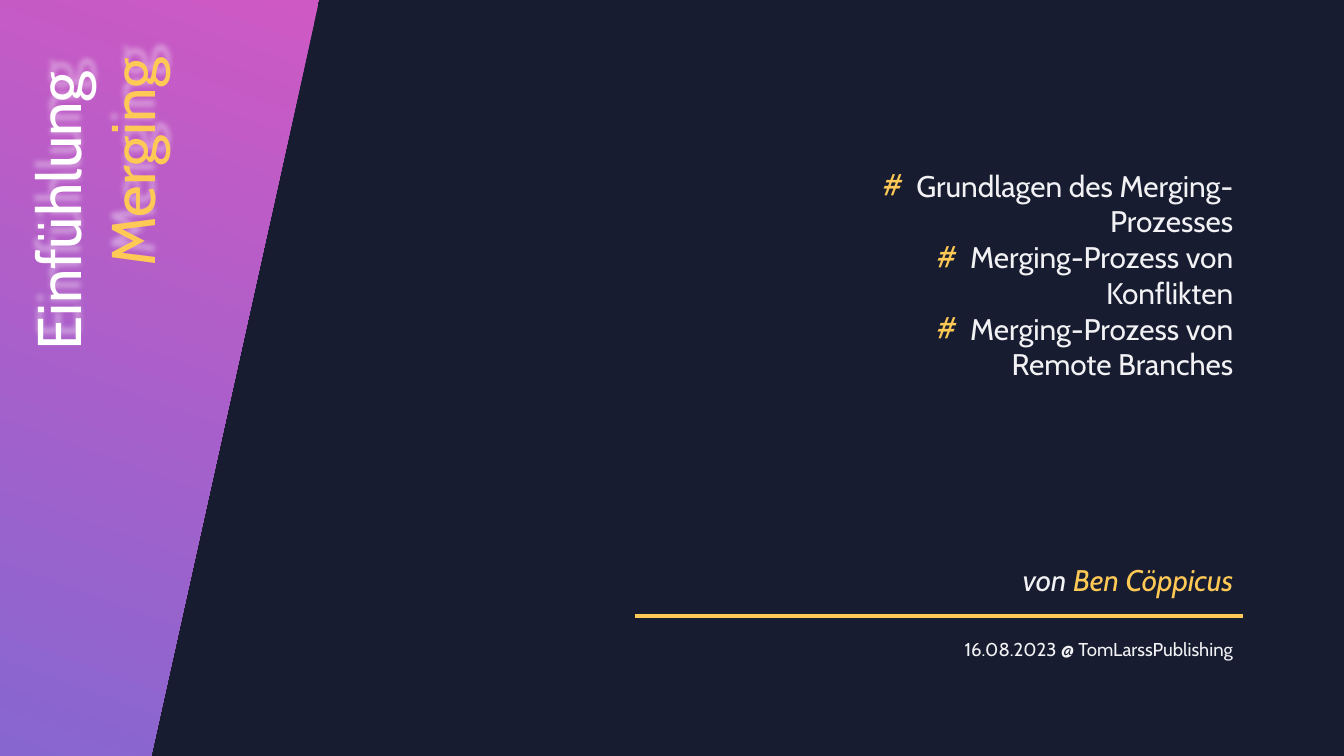
from dataclasses import dataclass

from lxml.etree import SubElement
from pptx import Presentation
from pptx.dml.color import RGBColor
from pptx.enum.shapes import MSO_CONNECTOR as Connector
from pptx.enum.text import MSO_AUTO_SIZE as AutoSize, PP_ALIGN as Align
from pptx.oxml import parse_xml
from pptx.oxml.ns import nsdecls, qn
from pptx.util import Pt

COLORS = {
    "night": "171C30",
    "pink": "CE59C4",
    "violet": "8766D0",
    "gold": "FFC955",
    "white": "FFFFFF",
    "pale": "F2F2F5",
}
FONT = "Cabin"
BULLET_INDENT = 24


@dataclass(frozen=True)
class Span:
    text: str
    color: str = "pale"


@dataclass(frozen=True)
class TextBlock:
    left: float
    top: float
    width: float
    height: float
    size: float
    paragraphs: tuple[tuple[Span, ...], ...]
    italic: bool = False
    bulleted: bool = False
    rotation: float = 0
    shadow: bool = False


TOPICS = (
    "Grundlagen des Merging-Prozesses",
    "Merging-Prozess von Konflikten",
    "Merging-Prozess von Remote Branches",
)
TEXT_BLOCKS = (
    # Vertical title
    TextBlock(-168, 213, 472, 114, 44,
              ((Span("Einfühlung ", "white"),), (Span("Merging", "gold"),)),
              rotation=270, shadow=True),
    # Topics
    TextBlock(588, 116, 300, 162, 21.3,
              tuple((Span(topic),) for topic in TOPICS), bulleted=True),
    # Author
    TextBlock(568, 398, 320, 33, 21.3,
              ((Span("von "), Span("Ben Cöppicus", "gold")),), italic=True),
    # Date and publisher
    TextBlock(524, 452, 364, 24, 13.3,
              ((Span("16.08.2023 @ TomLarssPublishing"),),)),
)


def rgb(name: str) -> RGBColor:
    return RGBColor.from_string(COLORS[name])


def add_bullet(paragraph) -> None:
    properties = paragraph._p.get_or_add_pPr()
    properties.set("marL", str(Pt(BULLET_INDENT)))
    properties.set("indent", str(-Pt(BULLET_INDENT)))
    bullet_color = SubElement(properties, qn("a:buClr"))
    SubElement(bullet_color, qn("a:srgbClr"), val=COLORS["gold"])
    SubElement(properties, qn("a:buFont"), typeface=FONT)
    SubElement(properties, qn("a:buChar"), char="#")


def add_soft_shadow(shape) -> None:
    shape._element.spPr.append(parse_xml(
        f'<a:effectLst {nsdecls("a")}>'
        f'<a:outerShdw blurRad="{Pt(4)}" dist="{Pt(9)}" dir="15720000"'
        ' algn="ctr" rotWithShape="0">'
        f'<a:srgbClr val="{COLORS["white"]}"><a:alpha val="40000"/></a:srgbClr>'
        '</a:outerShdw></a:effectLst>'))


def add_text(slide, block: TextBlock) -> None:
    shape = slide.shapes.add_textbox(
        Pt(block.left), Pt(block.top), Pt(block.width), Pt(block.height))
    shape.rotation = block.rotation
    text_frame = shape.text_frame
    text_frame.word_wrap = True
    text_frame.auto_size = AutoSize.SHAPE_TO_FIT_TEXT
    for index, spans in enumerate(block.paragraphs):
        paragraph = text_frame.add_paragraph() if index else text_frame.paragraphs[0]
        paragraph.alignment = Align.RIGHT
        paragraph.text = spans[0].text
        for span in spans[1:]:
            paragraph.add_run().text = span.text
        for run, span in zip(paragraph.runs, spans):
            run.font.name = FONT
            run.font.size = Pt(block.size)
            run.font.color.rgb = rgb(span.color)
            if block.italic:
                run.font.italic = True
        if block.bulleted:
            add_bullet(paragraph)
    if block.shadow:
        add_soft_shadow(shape)


def add_side_panel(slide) -> None:
    builder = slide.shapes.build_freeform(0, 0, scale=Pt(1))
    builder.add_line_segments([(228, 0), (108, 540), (0, 540)], close=True)
    panel = builder.convert_to_shape()
    panel.shadow.inherit = False
    panel.line.fill.background()
    panel.fill.gradient()
    panel.fill.gradient_angle = 250
    for stop, name in zip(panel.fill.gradient_stops, ("pink", "violet")):
        stop.color.rgb = rgb(name)


def add_divider(slide) -> None:
    divider = slide.shapes.add_connector(
        Connector.STRAIGHT, Pt(453.5), Pt(440), Pt(888), Pt(440))
    divider.line.color.rgb = rgb("gold")
    divider.line.width = Pt(3)
    SubElement(divider._element.spPr, qn("a:effectLst"))


def main() -> None:
    presentation = Presentation()
    presentation.slide_width, presentation.slide_height = Pt(960), Pt(540)
    slide = presentation.slides.add_slide(presentation.slide_layouts[6])

    # Background and side panel
    slide.background.fill.solid()
    slide.background.fill.fore_color.rgb = rgb("night")
    add_side_panel(slide)

    # Texts and divider
    for block in TEXT_BLOCKS:
        add_text(slide, block)
    add_divider(slide)

    presentation.save("out.pptx")


if __name__ == "__main__":
    main()
